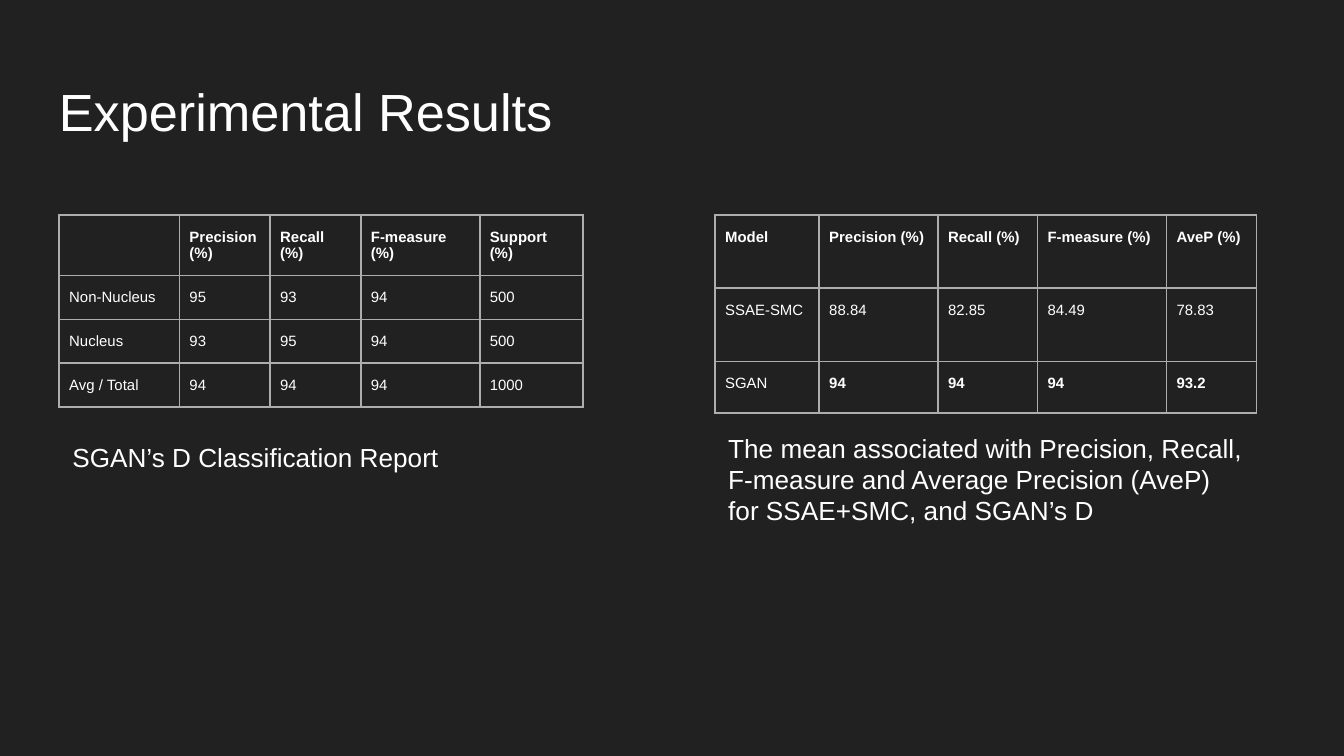
"""Build the experimental results slide: a title and two captioned tables."""
from dataclasses import dataclass
from typing import Any, Optional

import lxml.etree
import pptx
import pptx.dml.color
import pptx.enum.text
import pptx.oxml.ns
import pptx.util

SCALE = 4572
HUES = {"back": "212121", "text": "FFFFFF", "rule": "ADADAD"}
ANCHOR = pptx.enum.text.MSO_ANCHOR
INSET = {f"margin_{side}": 20 * SCALE for side in ("left", "right", "top", "bottom")}
PAD = INSET | {"margin_left": 15 * SCALE, "margin_right": 15 * SCALE}


@dataclass(frozen=True)
class Label:
    text: str
    left: int
    top: int
    width: int
    height: int
    size: int = 14
    anchor: Any = ANCHOR.MIDDLE


@dataclass(frozen=True)
class Grid:
    left: int
    top: int
    cols: list[int]
    rows: list[int]
    cells: list[list[str]]
    best: Optional[int] = None


LABELS = [
    Label("Experimental Results", 68, 98, 1864, 126, 28, ANCHOR.TOP),
    Label("The mean associated with Precision, Recall, F-measure and Average "
          "Precision (AveP) for SSAE+SMC, and SGAN’s D", 1064, 415, 806, 596),
    Label("SGAN’s D Classification Report", 88, 563, 806, 234),
]
GRIDS = [
    Grid(88, 320, [179, 135, 135, 177, 154], [62] * 4, [
        ["", "Precision (%)", "Recall (%)", "F-measure (%)", "Support (%)"],
        ["Non-Nucleus", "95", "93", "94", "500"],
        ["Nucleus", "93", "95", "94", "500"],
        ["Avg / Total", "94", "94", "94", "1000"],
    ]),
    Grid(1064, 320, [155, 177, 148, 192, 134], [109, 109, 77], [
        ["Model", "Precision (%)", "Recall (%)", "F-measure (%)", "AveP (%)"],
        ["SSAE-SMC", "88.84", "82.85", "84.49", "78.83"],
        ["SGAN", "94", "94", "94", "93.2"],
    ], best=2),
]


def px(count: int) -> int:
    """Turn px into EMU."""
    return count * SCALE


def tint(name: str) -> pptx.dml.color.RGBColor:
    """Look up a named colour."""
    return pptx.dml.color.RGBColor.from_string(HUES[name])


def apply(target: Any, look: dict[str, Any]) -> None:
    """Set each format value on the target."""
    for name, value in look.items():
        setattr(target, name, value)


def write(frame: Any, text: str, size: int, bold: bool = False) -> None:
    """Write one styled run, or size the empty paragraph."""
    para = frame.paragraphs[0]
    if not text:
        end = lxml.etree.SubElement(para._p, pptx.oxml.ns.qn("a:endParaRPr"))
        end.set("sz", str(size * 100))
        return
    run = para.add_run()
    run.text = text
    apply(run.font, {"name": "Arial", "size": pptx.util.Pt(size), "bold": bold})
    run.font.color.rgb = tint("text")


def edge(cell: Any) -> None:
    """Rule all four sides of a cell."""
    qn = pptx.oxml.ns.qn
    props = cell._tc.get_or_add_tcPr()
    for spot, side in enumerate("LRTB"):
        line = lxml.etree.Element(qn(f"a:ln{side}"), w=str(pptx.util.Pt(1)))
        fill = lxml.etree.SubElement(line, qn("a:solidFill"))
        lxml.etree.SubElement(fill, qn("a:srgbClr"), val=HUES["rule"])
        props.insert(spot, line)


def draw_label(slide: Any, label: Label) -> None:
    """Draw a text box."""
    place = (label.left, label.top, label.width, label.height)
    frame = slide.shapes.add_textbox(*map(px, place)).text_frame
    apply(frame, INSET | {"word_wrap": True, "vertical_anchor": label.anchor})
    write(frame, label.text, label.size)


def draw_grid(slide: Any, grid: Grid) -> None:
    """Draw a ruled table with bold headings and a bold best row."""
    place = (grid.left, grid.top, sum(grid.cols), sum(grid.rows))
    table = slide.shapes.add_table(
        len(grid.rows), len(grid.cols), *map(px, place)).table
    apply(table, {"first_row": False, "horz_banding": False})
    for col, width in zip(table.columns, grid.cols):
        col.width = px(width)
    for row, height in zip(table.rows, grid.rows):
        row.height = px(height)
    for r, line in enumerate(grid.cells):
        for c, text in enumerate(line):
            cell = table.cell(r, c)
            apply(cell, PAD)
            cell.fill.background()
            edge(cell)
            write(cell.text_frame, text, 8, r == 0 or (r == grid.best and c > 0))


def main() -> None:
    """Build and save the slide."""
    deck = pptx.Presentation()
    apply(deck, {"slide_width": px(2000), "slide_height": px(1125)})
    slide = deck.slides.add_slide(deck.slide_layouts[6])
    slide.background.fill.solid()
    slide.background.fill.fore_color.rgb = tint("back")
    for grid in GRIDS:
        draw_grid(slide, grid)
    for label in LABELS:
        draw_label(slide, label)
    deck.save("out.pptx")


if __name__ == "__main__":
    main()
